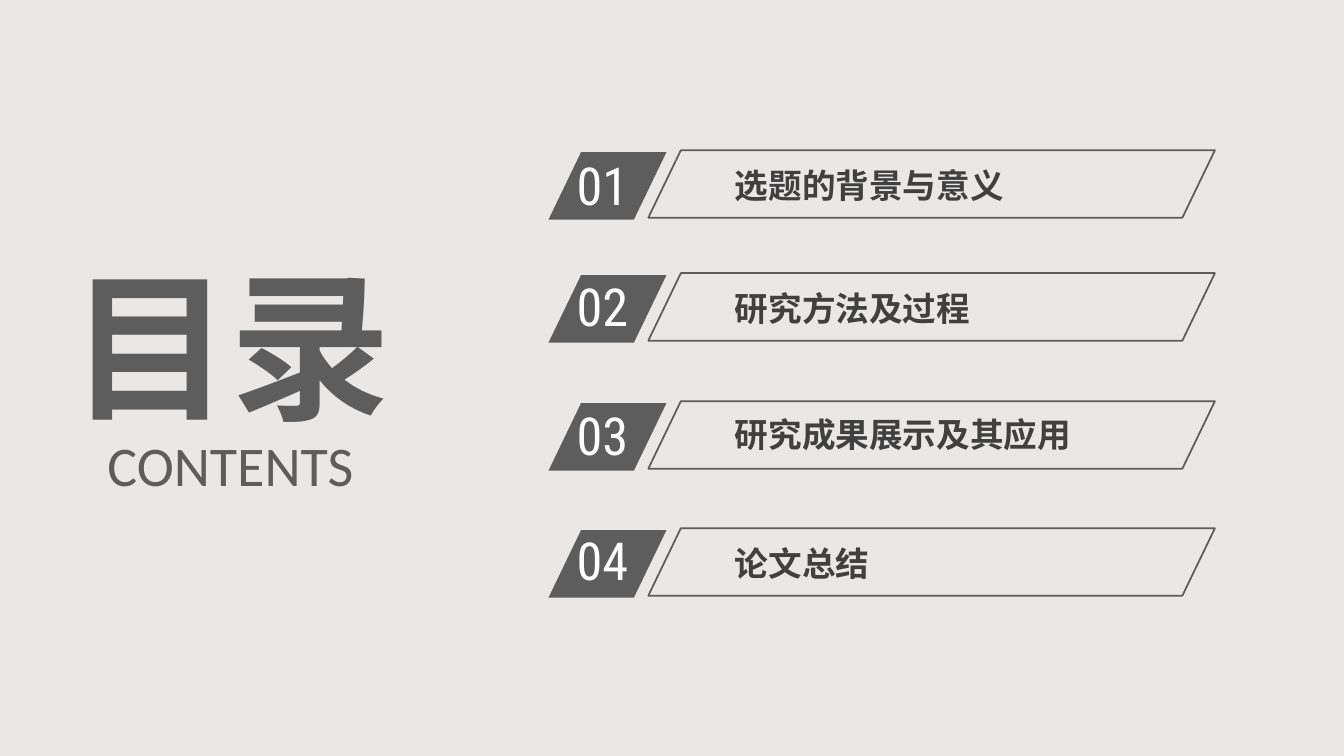
from dataclasses import dataclass

from lxml import etree
from pptx import Presentation
from pptx.dml.color import RGBColor
from pptx.enum.shapes import MSO_SHAPE
from pptx.enum.text import MSO_ANCHOR, MSO_AUTO_SIZE, PP_ALIGN
from pptx.oxml.ns import qn
from pptx.shapes.autoshape import Shape
from pptx.util import Inches, Pt

PARALLELOGRAM = MSO_SHAPE.PARALLELOGRAM
MIDDLE = MSO_ANCHOR.MIDDLE
GROW = MSO_AUTO_SIZE.SHAPE_TO_FIT_TEXT
LEFT, CENTER = PP_ALIGN.LEFT, PP_ALIGN.CENTER

COLORS = {
    "background": "E9E8E6",
    "accent": "5D5D5D",
    "label": "404040",
    "number": "FFFFFF",
}
CHINESE_FONT = "Noto Sans CJK SC"
SLANT = 0.482
BAR_HEIGHT = 0.67
BADGE_DROP = 0.02


@dataclass
class Chapter:
    title: str
    bar_top: float
    number_top: float
    title_top: float


@dataclass
class TextStyle:
    font: str
    size: float
    color: str
    bold: bool = False
    align: PP_ALIGN = LEFT
    wrap: bool = True


NUMBER_STYLE = TextStyle("Roboto Condensed", 37.4, "number")
CHAPTER_STYLE = TextStyle(CHINESE_FONT, 24, "label", bold=True)
SUBTITLE_STYLE = TextStyle("Calibri", 40, "accent", align=CENTER, wrap=False)
TITLE_STYLE = TextStyle(CHINESE_FONT, 114.7, "accent", True, CENTER, False)

CHAPTERS = [
    Chapter("选题的背景与意义", 1.49, 1.47, 1.59),
    Chapter("研究方法及过程", 2.71, 2.67, 2.81),
    Chapter("研究成果展示及其应用", 3.98, 3.95, 4.06),
    Chapter("论文总结", 5.24, 5.19, 5.34),
]


def color(name: str) -> RGBColor:
    return RGBColor.from_string(COLORS[name])


def add_text(shapes, text: str, left: float, top: float, width: float,
             height: float, style: TextStyle) -> None:
    box = shapes.add_textbox(Inches(left), Inches(top), Inches(width), Inches(height))
    frame = box.text_frame
    frame.word_wrap = style.wrap
    frame.auto_size = GROW
    frame.vertical_anchor = MIDDLE
    paragraph = frame.paragraphs[0]
    paragraph.text = text
    paragraph.alignment = style.align
    font = paragraph.font
    font.name = style.font
    font.size = Pt(style.size)
    font.bold = style.bold
    font.color.rgb = color(style.color)
    # East Asian glyphs take their typeface from a separate element.
    properties = paragraph._p.get_or_add_pPr().find(qn("a:defRPr"))
    east_asian = etree.Element(qn("a:ea"), typeface=style.font)
    properties.find(qn("a:latin")).addnext(east_asian)


def add_parallelogram(shapes, left: float, top: float, width: float) -> Shape:
    shape = shapes.add_shape(
        PARALLELOGRAM, Inches(left), Inches(top), Inches(width), Inches(BAR_HEIGHT))
    shape.adjustments[0] = SLANT
    shape.shadow.inherit = False
    return shape


def add_badge(slide, number: int, chapter: Chapter) -> None:
    shapes = slide.shapes.add_group_shape().shapes
    badge = add_parallelogram(shapes, 5.44, chapter.bar_top + BADGE_DROP, 1.17)
    badge.fill.solid()
    badge.fill.fore_color.rgb = color("accent")
    badge.line.fill.background()
    add_text(shapes, f"{number:02}", 5.62, chapter.number_top, 1.12, 0.73, NUMBER_STYLE)


def add_chapter_bar(slide, chapter: Chapter) -> None:
    shapes = slide.shapes.add_group_shape().shapes
    add_text(shapes, chapter.title, 7.19, chapter.title_top, 4.12, 0.5, CHAPTER_STYLE)
    bar = add_parallelogram(shapes, 6.43, chapter.bar_top, 5.62)
    bar.fill.background()
    bar.line.color.rgb = color("accent")
    bar.line.width = Pt(1.25)


def main() -> None:
    presentation = Presentation()
    presentation.slide_width = Inches(13.33)
    presentation.slide_height = Inches(7.5)
    slide = presentation.slides.add_slide(presentation.slide_layouts[6])
    slide.background.fill.solid()
    slide.background.fill.fore_color.rgb = color("background")

    for number, chapter in enumerate(CHAPTERS, start=1):
        add_badge(slide, number, chapter)
        add_chapter_bar(slide, chapter)
    add_text(slide.shapes, "CONTENTS", 0.96, 4.22, 2.65, 0.77, SUBTITLE_STYLE)
    add_text(slide.shapes, "目录", 0.58, 2.39, 3.42, 2.03, TITLE_STYLE)
    presentation.save("out.pptx")


if __name__ == "__main__":
    main()
